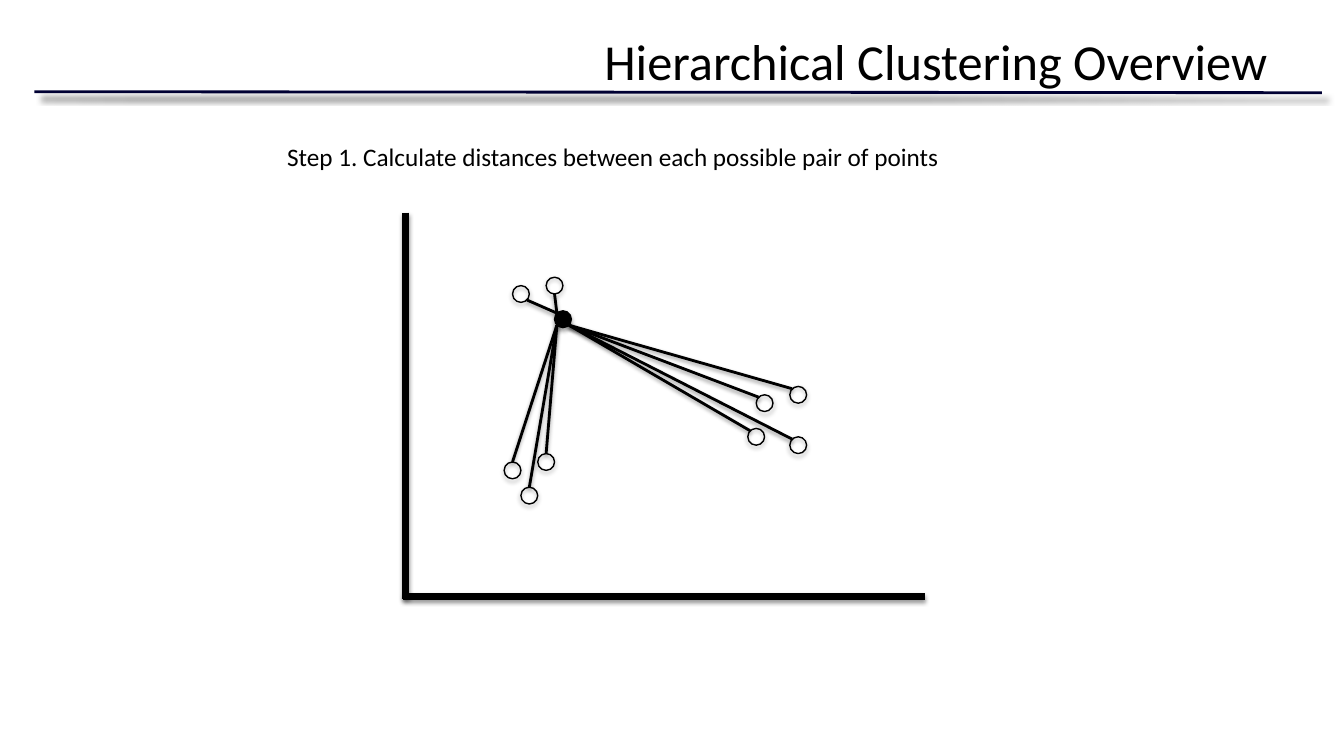
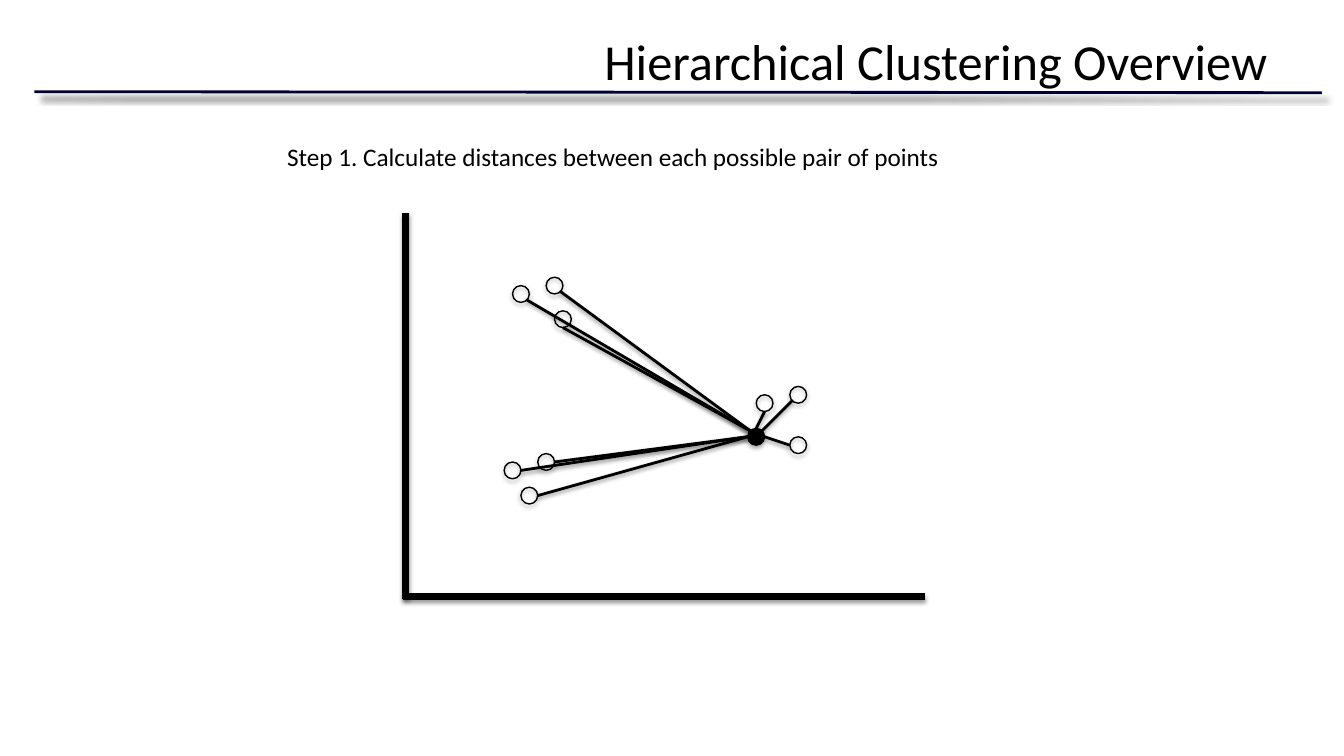
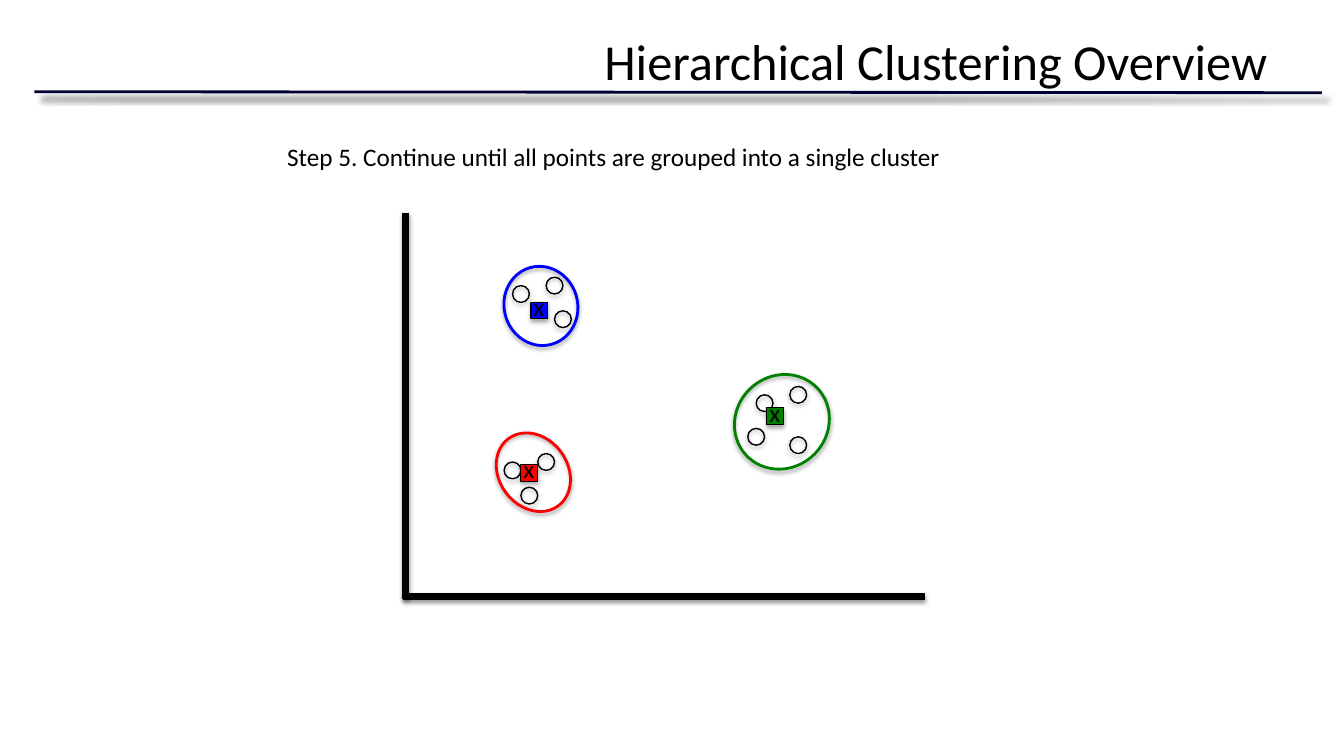
import lxml.etree
import pptx
import pptx.dml.color
import pptx.enum.shapes
import pptx.enum.text
import pptx.oxml.ns
import pptx.util

Inches = pptx.util.Inches
Pt = pptx.util.Pt
RGBColor = pptx.dml.color.RGBColor
Shape = pptx.enum.shapes.MSO_SHAPE
Align = pptx.enum.text.PP_ALIGN
Anchor = pptx.enum.text.MSO_ANCHOR
qn = pptx.oxml.ns.qn

BLACK = RGBColor(0x00, 0x00, 0x00)
NAVY = RGBColor(0x00, 0x00, 0x33)
RED = RGBColor(0xFF, 0x00, 0x00)
BLUE = RGBColor(0x00, 0x00, 0xFF)
GREEN = RGBColor(0x00, 0x80, 0x00)
FONT = "Calibri"

RULE_SHADOW = (50, 4, 6, 45)
LINE_SHADOW = (38, 3.1, 1.6, 90)
SHAPE_SHADOW = (35, 3.1, 1.8, 90)

TITLE = "Hierarchical Clustering Overview"
STEP_1 = "Step 1. Calculate distances between each possible pair of points"
STEP_5 = "Step 5. Continue until all points are grouped into a single cluster"

PLOT_BOX = (4, 2, 5.17, 3.92)
GRID = 1 / 12
RADIUS = GRID
DIAGONAL = 0.06
POINTS = {
    "top": (17, 9), "top right": (18, 13), "top left": (13, 10),
    "right inner": (42, 23), "right low": (41, 27),
    "right high": (46, 22), "right far": (46, 28),
    "low left": (12, 31), "low bottom": (14, 34), "low right": (16, 30),
}
SITES = {
    "N": (0, -RADIUS), "S": (0, RADIUS), "W": (-RADIUS, 0), "E": (RADIUS, 0),
    "NW": (-DIAGONAL, -DIAGONAL), "NE": (DIAGONAL, -DIAGONAL),
    "SW": (-DIAGONAL, DIAGONAL), "SE": (DIAGONAL, DIAGONAL),
}
TOP_RIGHT_LINKS = [
    ("right low", "NW", "SE"), ("right inner", "NW", "SE"),
    ("right high", "NW", "SE"), ("right far", "NW", "SE"),
    ("low right", "N", "SW"), ("low bottom", "N", "SW"), ("low left", "N", "SW"),
    ("top", "S", "NW"), ("top left", "SE", "NW"),
]
RIGHT_LOW_LINKS = [
    ("low right", "E", "W"), ("right inner", "S", "N"),
    ("right high", "SW", "NE"), ("right far", "W", "E"),
    ("top right", "S", "NW"), ("low bottom", "E", "W"), ("low left", "E", "W"),
    ("top", "SE", "NW"), ("top left", "SE", "NW"),
]
CLUSTERS = [
    (RED, (0.95, 2.27, 0.68, 0.83), 143.4, (1.25, 2.69)),
    (BLUE, (1, 0.64, 0.73, 0.79), 164.3, (1.35, 1.08)),
    (GREEN, (3.3, 1.7, 0.91, 0.97), 46.1, (3.69, 2.13)),
]


def cast_shadow(part, shadow):
    """Give a shape or line a black outer shadow: opacity, blur, distance, angle."""
    opacity, blur, distance, angle = shadow
    properties = part._element.spPr
    for old in properties.findall(qn("a:effectLst")):
        properties.remove(old)
    effects = lxml.etree.SubElement(properties, qn("a:effectLst"))
    outer = lxml.etree.SubElement(
        effects, qn("a:outerShdw"), blurRad=str(int(Pt(blur))),
        dist=str(int(Pt(distance))), dir=str(angle * 60000),
        algn="ctr", rotWithShape="0")
    color = lxml.etree.SubElement(outer, qn("a:srgbClr"), val=str(BLACK))
    lxml.etree.SubElement(color, qn("a:alpha"), val=str(opacity * 1000))


def add_line(slide, start, end, width, color=BLACK, shadow=LINE_SHADOW):
    """Draw a straight shadowed line between two places in inches."""
    line = slide.shapes.add_connector(
        pptx.enum.shapes.MSO_CONNECTOR.STRAIGHT,
        *(Inches(value) for value in (*start, *end)))
    line.line.color.rgb = color
    line.line.width = Pt(width)
    cast_shadow(line, shadow)


def add_outline(slide, kind, box, width, color=BLACK, fill=None, rotation=0):
    """Draw a shadowed preset shape, hollow unless a fill is given."""
    outline = slide.shapes.add_shape(kind, *(Inches(value) for value in box))
    if fill is None:
        outline.fill.background()
    else:
        outline.fill.solid()
        outline.fill.fore_color.rgb = fill
    outline.line.color.rgb = color
    outline.line.width = Pt(width)
    outline.rotation = rotation
    cast_shadow(outline, SHAPE_SHADOW)


def add_text(slide, box, text, size, align=Align.LEFT, wrap=False):
    """Place one line of text and return its frame."""
    frame = slide.shapes.add_textbox(*(Inches(value) for value in box)).text_frame
    frame.word_wrap = wrap
    frame.text = text
    paragraph = frame.paragraphs[0]
    paragraph.alignment = align
    font = paragraph.runs[0].font
    font.name, font.size, font.color.rgb = FONT, Pt(size), BLACK
    return frame


def add_header(slide, step):
    """Place the ruled title and the step below it."""
    add_line(slide, (0.34, 0.91), (13.11, 0.92), 2, NAVY, RULE_SHADOW)
    add_text(slide, (0.67, 0.25, 12, 1.25), TITLE, 36, Align.RIGHT, wrap=True)
    add_text(slide, (2.75, 1.35, 6.75, 0.4), step, 18)


def point_center(box, name):
    """Return the centre of a named data point within the plot box."""
    column, row = POINTS[name]
    return box[0] + (column + 1) * GRID, box[1] + (row + 1) * GRID


def add_plot(slide, box, hub=None):
    """Draw the axes and the data points, with the hub filled."""
    left, top, width, height = box
    bottom = top + height
    add_line(slide, (left + 0.02, top + 0.11), (left + 0.02, bottom + 0.02), 5)
    add_line(slide, (left + width, bottom), (left, bottom), 5)
    for name in POINTS:
        x, y = point_center(box, name)
        add_outline(slide, Shape.OVAL, (x - RADIUS, y - RADIUS, 2 * RADIUS, 2 * RADIUS),
                    1, fill=BLACK if name == hub else None)


def add_distances(slide, box, hub, links):
    """Join each linked point to the hub at the named sites on their rims."""
    for name, point_site, hub_site in links:
        ends = [
            [middle + shift for middle, shift in zip(point_center(box, point), SITES[site])]
            for point, site in ((name, point_site), (hub, hub_site))
        ]
        add_line(slide, *ends, 2)


def add_cluster(slide, box, color, ring, rotation, centroid):
    """Draw a cluster ring and its centroid marker within the plot box."""
    left, top = box[:2]
    add_outline(slide, Shape.OVAL, (left + ring[0], top + ring[1], *ring[2:]),
                2, color, rotation=rotation)
    x, y = left + centroid[0], top + centroid[1]
    add_outline(slide, Shape.RECTANGLE,
                (x - RADIUS, y - RADIUS, 2 * RADIUS, 2 * RADIUS), 0.75, fill=color)
    mark = add_text(slide, (x - 0.06, y - 0.19, 0.11, 0.3), "x", 18)
    mark.margin_left = mark.margin_right = mark.margin_top = mark.margin_bottom = 0
    mark.vertical_anchor = Anchor.MIDDLE


def distance_slide(slide, hub, links):
    """Build a slide of the distances from one point to all others."""
    add_header(slide, STEP_1)
    add_plot(slide, PLOT_BOX, hub)
    add_distances(slide, PLOT_BOX, hub, links)


def cluster_slide(slide):
    """Build the slide of the grouped points."""
    add_header(slide, STEP_5)
    add_plot(slide, PLOT_BOX)
    for cluster in CLUSTERS:
        add_cluster(slide, PLOT_BOX, *cluster)


def main():
    """Build and save the presentation."""
    deck = pptx.Presentation()
    deck.slide_width, deck.slide_height = Inches(13.33), Inches(7.5)
    blank = deck.slide_layouts[6]
    distance_slide(deck.slides.add_slide(blank), "top right", TOP_RIGHT_LINKS)
    distance_slide(deck.slides.add_slide(blank), "right low", RIGHT_LOW_LINKS)
    cluster_slide(deck.slides.add_slide(blank))
    deck.save("out.pptx")


if __name__ == "__main__":
    main()
